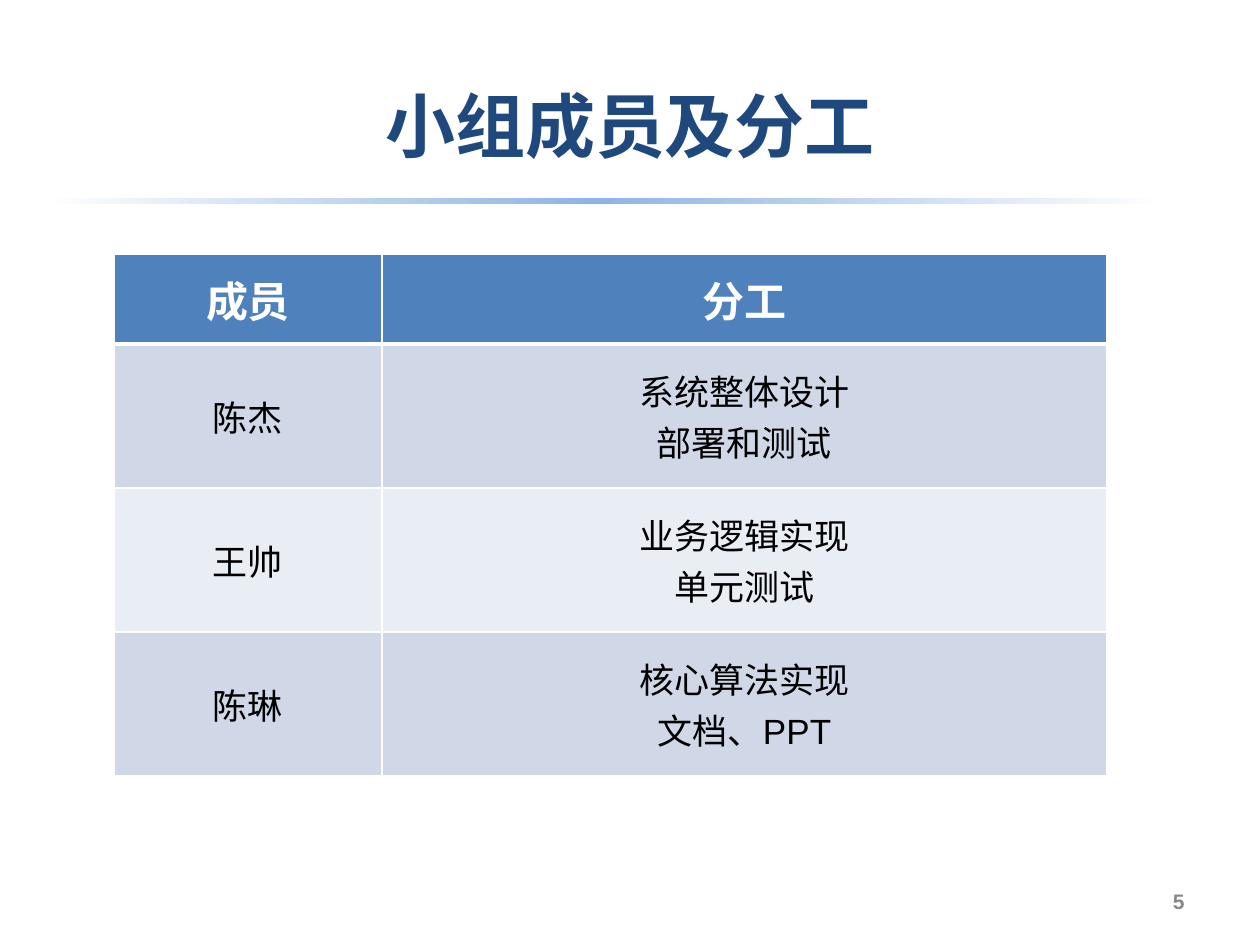
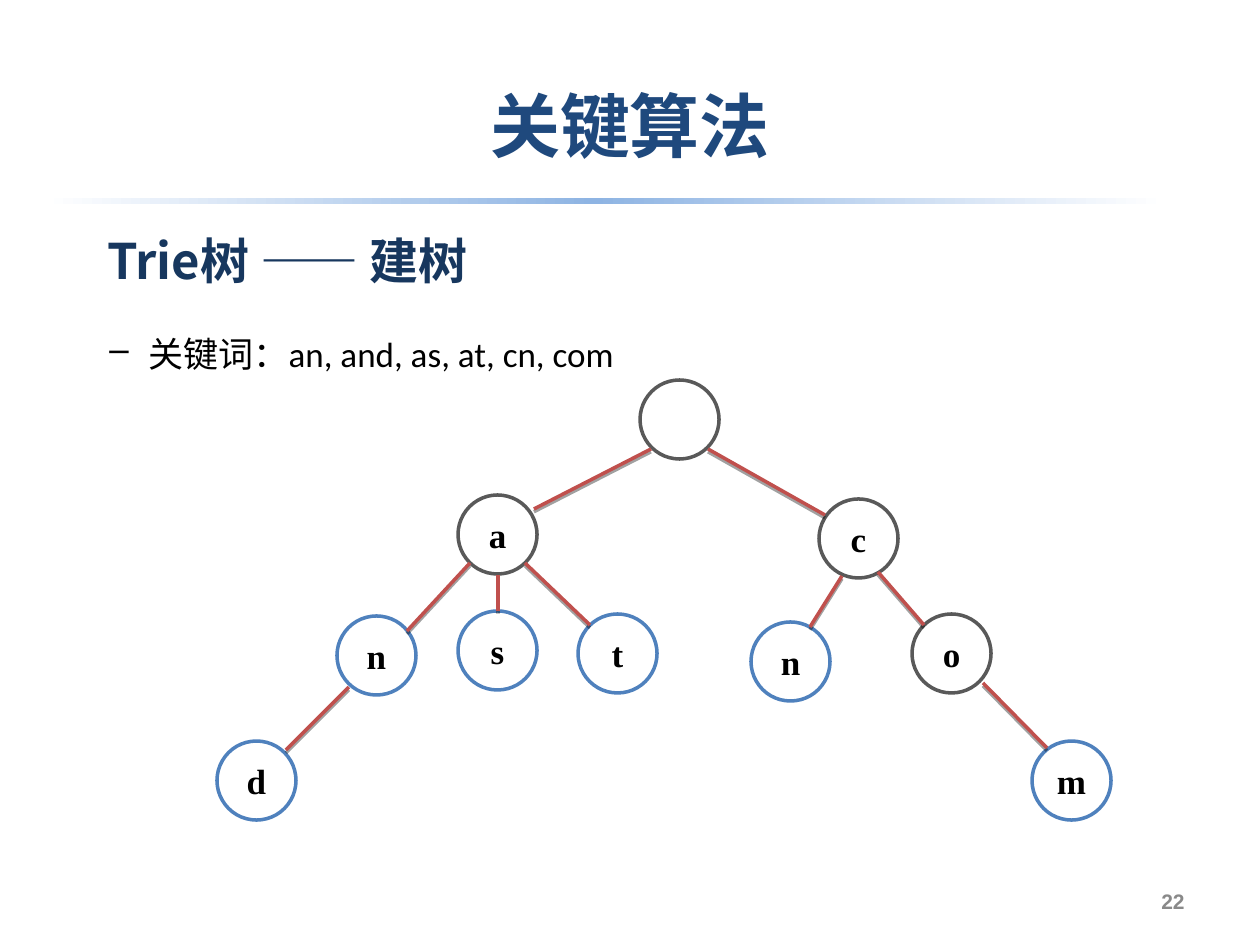
"""Build two project slides: a table of members and duties, and a trie."""
from copy import deepcopy

from lxml.etree import SubElement
from pptx import Presentation
from pptx.dml.color import RGBColor
from pptx.enum.shapes import MSO_CONNECTOR, MSO_SHAPE
from pptx.enum.text import MSO_ANCHOR, MSO_AUTO_SIZE, PP_ALIGN
from pptx.oxml.ns import qn
from pptx.util import Emu, Pt

WHITE = RGBColor(0xFF, 0xFF, 0xFF)
BLACK = RGBColor(0, 0, 0)
NAVY = RGBColor(0x1F, 0x49, 0x7D)
DEEP = RGBColor(0x17, 0x37, 0x5E)
SKY = RGBColor(0x8E, 0xB4, 0xE3)
BLUE = RGBColor(0x4F, 0x81, 0xBD)
DARK = RGBColor(0xD0, 0xD8, 0xE8)
PALE = RGBColor(0xE9, 0xED, 0xF4)
GREY = RGBColor(0x59, 0x59, 0x59)
ASH = RGBColor(0x89, 0x89, 0x89)
RED = RGBColor(0xC0, 0x50, 0x4D)
CJK = "Noto Sans CJK SC"


def fmt(name, size, color, bold=False):
    return {"name": name, "size": Pt(size), "color": color, "bold": bold}


TITLE = fmt("Times New Roman", 40, NAVY, True)
NUMBER = fmt("Arial", 12, ASH, True)
HEAD = fmt("Arial", 24, WHITE, True)
CELL = fmt("Arial", 20, BLACK)
TOPIC = fmt(CJK, 28, DEEP, True)
POINT = fmt("Calibri", 20, BLACK)
LETTER = fmt("Times New Roman", 20, BLACK, True)

TEAM = [
    (["成员"], ["分工"]),
    (["陈杰"], ["系统整体设计", "部署和测试"]),
    (["王帅"], ["业务逻辑实现", "单元测试"]),
    (["陈琳"], ["核心算法实现", "文档、PPT"]),
]
COLS = [268, 725]
ROWS = [90, 144, 144, 144]

NODES = [
    ("", 640, 380, GREY),
    ("a", 458, 495, GREY),
    ("n", 337, 616, BLUE),
    ("s", 458, 611, BLUE),
    ("t", 578, 614, BLUE),
    ("c", 819, 499, GREY),
    ("n", 751, 622, BLUE),
    ("o", 912, 614, GREY),
    ("d", 217, 741, BLUE),
    ("m", 1032, 741, BLUE),
]
SIZE = 79
EDGES = [
    (651, 449, 534, 509),
    (470, 563, 407, 631),
    (349, 687, 286, 750),
    (708, 449, 825, 515),
    (878, 572, 924, 625),
    (983, 683, 1047, 748),
    (842, 576, 810, 627),
    (525, 563, 590, 625),
    (498, 575, 498, 611),
]


def px(num):
    return Emu(round(num * 914400 / 126))


def write(frame, lines, look, align=PP_ALIGN.LEFT, anchor=MSO_ANCHOR.TOP):
    frame.vertical_anchor = anchor
    for pos, line in enumerate(lines):
        para = frame.add_paragraph() if pos else frame.paragraphs[0]
        para.alignment = align
        run = para.add_run()
        run.text = line
        for key, val in look.items():
            if key == "color":
                run.font.color.rgb = val
            else:
                setattr(run.font, key, val)
        SubElement(run.font._element, qn("a:ea"), typeface=CJK)


def label(slide, box, text, look, **place):
    frame = slide.shapes.add_textbox(*map(px, box)).text_frame
    frame.word_wrap = True
    write(frame, [text], look, **place)
    return frame


def band(slide):
    bar = slide.shapes.add_shape(MSO_SHAPE.RECTANGLE, *map(px, (44, 198, 1169, 6)))
    bar.shadow.inherit = False
    bar.line.fill.background()
    bar.fill.gradient()
    bar.fill.gradient_angle = 0
    stops = bar._element.find(".//" + qn("a:gsLst"))
    stops.append(deepcopy(stops[-1]))
    tints = [(0, WHITE), (0.47, SKY), (0.96, WHITE)]
    for stop, (pos, tint) in zip(bar.fill.gradient_stops, tints):
        stop.position = pos
        stop.color.rgb = tint


def start(deck, title, number):
    slide = deck.slides.add_slide(deck.slide_layouts[5])
    head = slide.shapes.title
    spots = {"left": 0, "top": 76, "width": 1260, "height": 97}
    for key, val in spots.items():
        setattr(head, key, px(val))
    head.text_frame.auto_size = MSO_AUTO_SIZE.NONE
    write(head.text_frame, [title], TITLE, PP_ALIGN.CENTER)
    label(slide, (903, 876, 294, 50), number, NUMBER,
          align=PP_ALIGN.RIGHT, anchor=MSO_ANCHOR.MIDDLE)
    band(slide)
    return slide


def edge(cell, side, width):
    line = SubElement(cell._tc.get_or_add_tcPr(), qn("a:" + side), w=str(Pt(width)))
    fill = SubElement(line, qn("a:solidFill"))
    SubElement(fill, qn("a:srgbClr"), val=str(WHITE))


def team(slide):
    box = (114, 254, sum(COLS), sum(ROWS))
    grid = slide.shapes.add_table(len(ROWS), len(COLS), *map(px, box)).table
    for col, wide in zip(grid.columns, COLS):
        col.width = px(wide)
    for row, (tall, texts) in enumerate(zip(ROWS, TEAM)):
        grid.rows[row].height = px(tall)
        tint = (DARK if row % 2 else PALE) if row else BLUE
        for col, lines in enumerate(texts):
            cell = grid.cell(row, col)
            for side in ("lnL", "lnR", "lnT", "lnB"):
                thick = (row, side) in ((0, "lnB"), (1, "lnT"))
                edge(cell, side, 3 if thick else 1)
            cell.fill.solid()
            cell.fill.fore_color.rgb = tint
            write(cell.text_frame, lines, CELL if row else HEAD, PP_ALIGN.CENTER)
            cell.vertical_anchor = MSO_ANCHOR.MIDDLE


def node(slide, text, left, top, tint):
    ball = slide.shapes.add_shape(MSO_SHAPE.OVAL, *map(px, (left, top, SIZE, SIZE)))
    ball.shadow.inherit = False
    ball.fill.solid()
    ball.fill.fore_color.rgb = WHITE
    ball.line.color.rgb = tint
    ball.line.width = Pt(2)
    frame = ball.text_frame
    for side in ("left", "right", "top", "bottom"):
        setattr(frame, "margin_" + side, 0)
    if text:
        write(frame, [text], LETTER, PP_ALIGN.CENTER, MSO_ANCHOR.MIDDLE)


def branch(slide, ends):
    line = slide.shapes.add_connector(MSO_CONNECTOR.STRAIGHT, *map(px, ends))
    line.line.color.rgb = RED
    line.line.width = Pt(2)
    glow = SubElement(line._element.spPr, qn("a:effectLst"))
    cast = SubElement(glow, qn("a:outerShdw"), blurRad="0", dist=str(Pt(1.6)),
                      dir="5400000", rotWithShape="0")
    tone = SubElement(cast, qn("a:srgbClr"), val=str(BLACK))
    SubElement(tone, qn("a:alpha"), val="36000")


def trie(slide):
    label(slide, (95, 224, 645, 72), "Trie树 —— 建树", TOPIC)
    for item in NODES:
        node(slide, *item)
    for ends in EDGES:
        branch(slide, ends)
    frame = label(slide, (34, 326, 684, 77), "关键词：an, and, as, at, cn, com", POINT)
    props = frame.paragraphs[0]._p.get_or_add_pPr()
    props.set("marL", str(px(102)))
    props.set("indent", str(px(-39)))
    SubElement(props, qn("a:buChar"), char="–")


def main():
    deck = Presentation()
    deck.slide_width, deck.slide_height = px(1260), px(945)
    team(start(deck, "小组成员及分工", "5"))
    trie(start(deck, "关键算法", "22"))
    deck.save("out.pptx")


if __name__ == "__main__":
    main()
